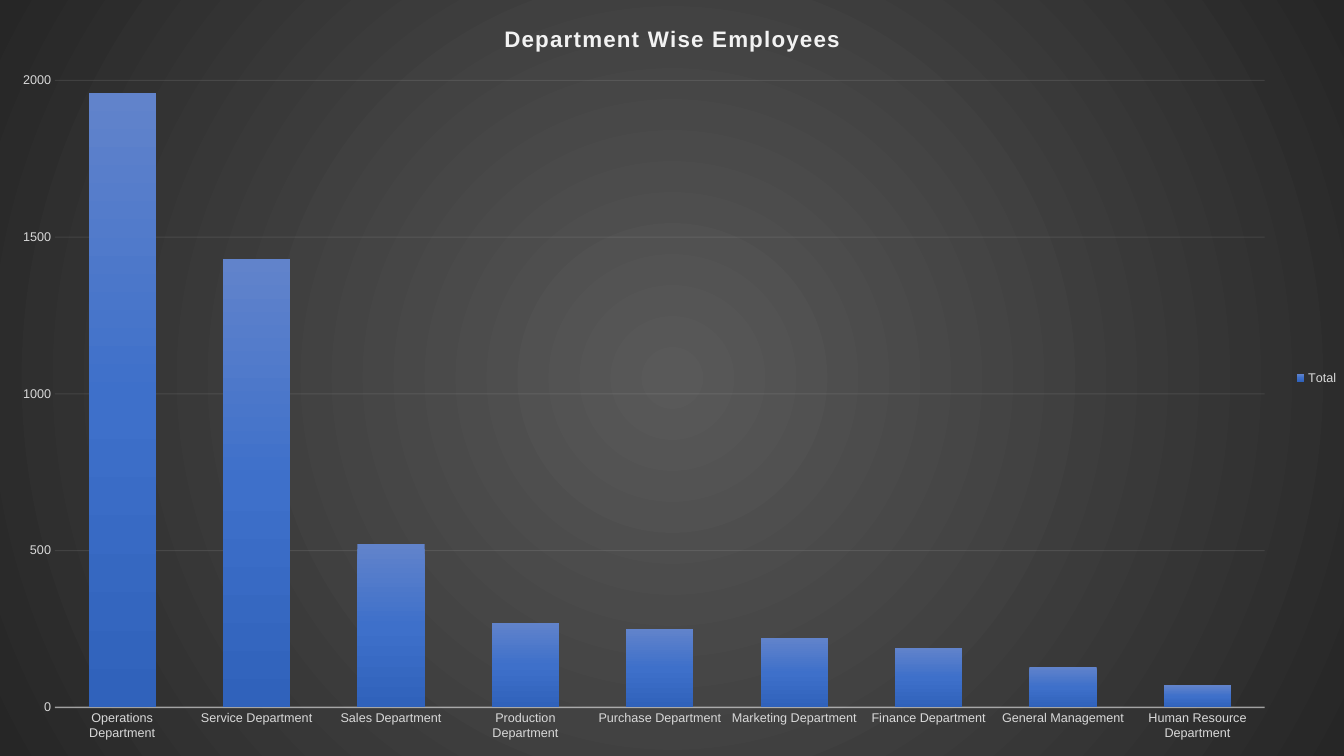
"""Column chart of employees per department on a dark radial background."""
from lxml.etree import SubElement
from pptx import Presentation
from pptx.chart.data import CategoryChartData
from pptx.dml.color import RGBColor
from pptx.enum.chart import XL_CHART_TYPE, XL_LEGEND_POSITION, XL_TICK_MARK
from pptx.oxml import parse_xml
from pptx.oxml.ns import nsdecls, qn
from pptx.util import Cm, Pt

COLORS = {
    "title": "F2F2F2", "label": "D9D9D9", "line": "F2F2F2",
    "center": "595959", "edge": "262626",
    "bar_top": "6183CB", "bar_middle": "3E70CA", "bar_bottom": "3062BB",
}
EMPLOYEES = {
    "Operations Department": 1960,
    "Service Department": 1430,
    "Sales Department": 520,
    "Production Department": 270,
    "Purchase Department": 250,
    "Marketing Department": 220,
    "Finance Department": 190,
    "General Management": 130,
    "Human Resource Department": 70,
}


def gradient_properties(stops, direction):
    """Return chart shape properties with a gradient fill and no line."""
    stop_xml = "".join(
        f'<a:gs pos="{percent * 1000}"><a:srgbClr val="{COLORS[name]}"/></a:gs>'
        for percent, name in stops)
    return parse_xml(
        f'<c:spPr {nsdecls("c", "a")}><a:gradFill><a:gsLst>{stop_xml}</a:gsLst>'
        f'{direction}</a:gradFill><a:ln><a:noFill/></a:ln></c:spPr>')


def style_line(line, width, opacity):
    """Give a chart line its colour, width and opacity in percent."""
    line.width = Pt(width)
    line.color.rgb = RGBColor.from_string(COLORS["line"])
    color = next(line.fill._xPr.iter(qn("a:srgbClr")))
    SubElement(color, qn("a:alpha")).set("val", str(opacity * 1000))


prs = Presentation()
prs.slide_width, prs.slide_height = Cm(33.87), Cm(19.05)
slide = prs.slides.add_slide(prs.slide_layouts[6])

employee_data = CategoryChartData()
employee_data.categories = list(EMPLOYEES)
employee_data.add_series("Total", list(EMPLOYEES.values()))
chart = slide.shapes.add_chart(
    XL_CHART_TYPE.COLUMN_CLUSTERED, Cm(-0.1), Cm(0), Cm(34.09), Cm(19.05),
    employee_data).chart
chart.font.name = "Arial"
chart.font.size = Pt(10)

chart._chartSpace.find(qn("c:chart")).addnext(gradient_properties(
    [(0, "center"), (100, "edge")],
    '<a:path path="circle"><a:fillToRect l="50000" t="50000" r="50000" b="50000"/></a:path>'))

heading = chart.chart_title.text_frame.paragraphs[0]
run = heading.add_run()
run.text = "Department Wise Employees"
run.font.name = "Arial"
run.font.size = Pt(16)
run.font.bold = True
run.font.color.rgb = RGBColor.from_string(COLORS["title"])
run.font._element.set("spc", "100")
chart.chart_title.include_in_layout = False

chart.has_legend = True
chart.legend.position = XL_LEGEND_POSITION.RIGHT
chart.legend.include_in_layout = False

for part in (chart.category_axis.tick_labels, chart.value_axis.tick_labels, chart.legend):
    part.font.name = "Arial"
    part.font.size = Pt(9)
    part.font.color.rgb = RGBColor.from_string(COLORS["label"])

for axis in (chart.category_axis, chart.value_axis):
    axis.major_tick_mark = XL_TICK_MARK.NONE
    axis.minor_tick_mark = XL_TICK_MARK.NONE
style_line(chart.category_axis.format.line, 1, 54)
chart.value_axis.format.line.fill.background()
chart.value_axis.minimum_scale = 0
chart.value_axis.maximum_scale = 2000
chart.value_axis.major_unit = 500
style_line(chart.value_axis.major_gridlines.format.line, 0.75, 10)

columns = chart.plots[0]
columns.gap_width = 100
columns.overlap = -24
columns.vary_by_categories = False
total = columns.series[0]
total.format.fill.solid()
bar_properties = total._element.find(qn("c:spPr"))
bar_properties.getparent().replace(bar_properties, gradient_properties(
    [(0, "bar_top"), (50, "bar_middle"), (100, "bar_bottom")],
    '<a:lin ang="5400000" scaled="0"/>'))

plot_area = chart._chartSpace.find(qn("c:chart")).find(qn("c:plotArea"))
for old_layout in plot_area.findall(qn("c:layout")):
    plot_area.remove(old_layout)
plot_area.insert(0, parse_xml(
    f'<c:layout {nsdecls("c")}><c:manualLayout><c:layoutTarget val="inner"/>'
    '<c:xMode val="edge"/><c:yMode val="edge"/><c:x val="0.0436"/><c:y val="0.1065"/>'
    '<c:w val="0.8943"/><c:h val="0.8293"/></c:manualLayout></c:layout>'))

prs.save("out.pptx")
